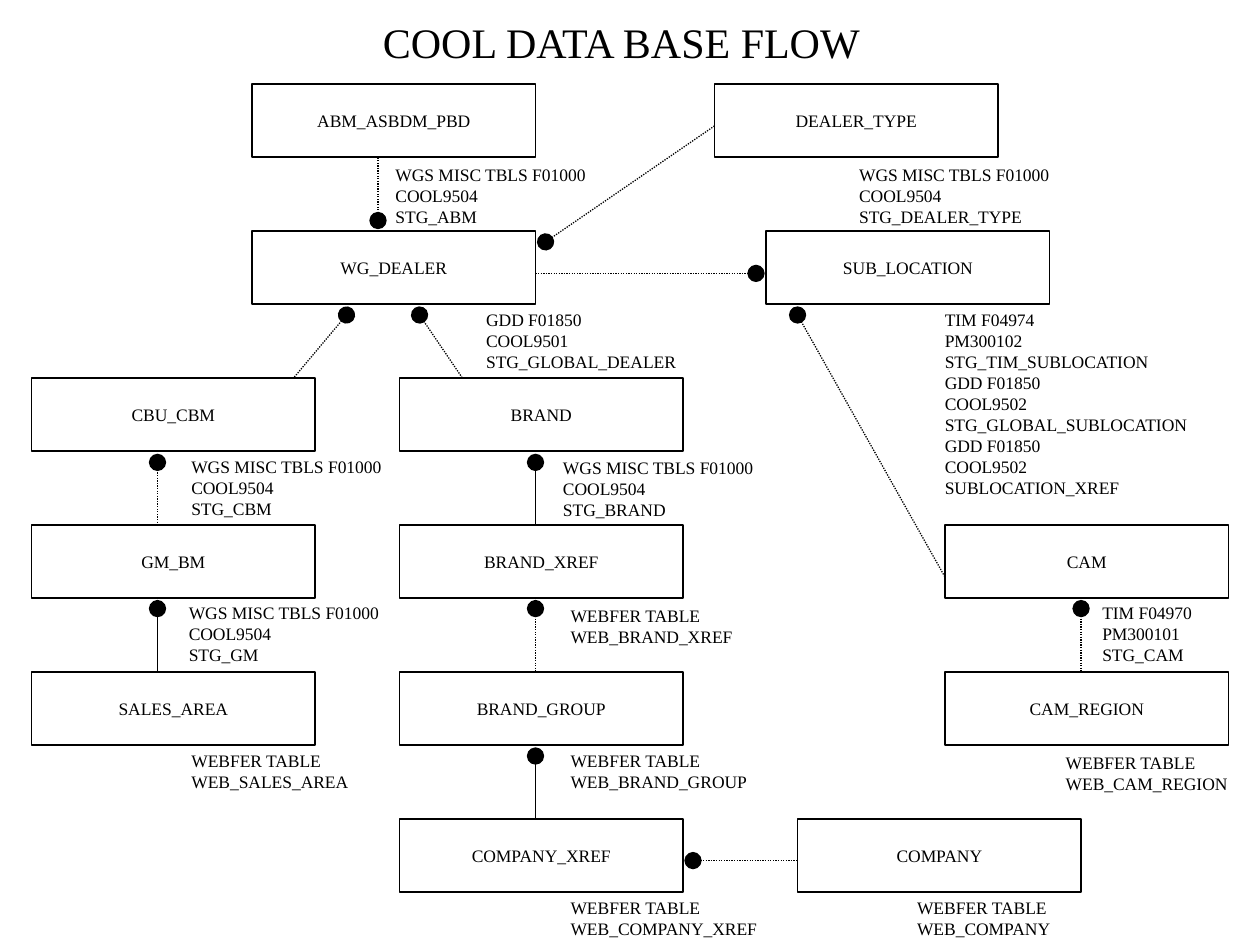
"""Build the COOL data base flow slide: tables, source notes and relations."""
from typing import NamedTuple

from lxml.etree import SubElement
from pptx import Presentation
from pptx.dml.color import RGBColor
from pptx.enum.dml import MSO_LINE
from pptx.enum.shapes import MSO_CONNECTOR, MSO_SHAPE
from pptx.enum.text import MSO_ANCHOR, MSO_AUTO_SIZE, PP_ALIGN
from pptx.oxml.ns import qn
from pptx.util import Inches, Pt

FONT = "Times New Roman"
BLACK = "000000"
BOX_W, BOX_H = 2.25, 0.58
ROW_TOP, ROW_STEP = 2 / 3, 7 / 6
LINE_H, NOTE_PAD = 1 / 6, 0.1


class Table(NamedTuple):
    name: str
    left: float
    row: int


class Note(NamedTuple):
    left: float
    top: float
    width: float
    lines: list[str]


class Link(NamedTuple):
    start: tuple[float, float]
    end: tuple[float, float]
    solid: bool = False
    dot_end: str = "a:headEnd"


TABLES = [
    Table("ABM_ASBDM_PBD", 2, 0),
    Table("DEALER_TYPE", 5.67, 0),
    Table("WG_DEALER", 2, 1),
    Table("SUB_LOCATION", 6.08, 1),
    Table("CBU_CBM", 0.25, 2),
    Table("BRAND", 3.17, 2),
    Table("GM_BM", 0.25, 3),
    Table("BRAND_XREF", 3.17, 3),
    Table("CAM", 7.5, 3),
    Table("SALES_AREA", 0.25, 4),
    Table("BRAND_GROUP", 3.17, 4),
    Table("CAM_REGION", 7.5, 4),
    Table("COMPANY_XREF", 3.17, 5),
    Table("COMPANY", 6.33, 5),
]

MISC = ["WGS MISC TBLS F01000", "COOL9504"]
WEBFER = ["WEBFER TABLE"]
NOTES = [
    Note(3.04, 1.25, 1.73, MISC + ["STG_ABM"]),
    Note(6.72, 1.25, 1.73, MISC + ["STG_DEALER_TYPE"]),
    Note(3.76, 2.4, 1.74, ["GDD F01850", "COOL9501", "STG_GLOBAL_DEALER"]),
    Note(7.4, 2.4, 2.15, [
        "TIM F04974", "PM300102", "STG_TIM_SUBLOCATION",
        "GDD F01850", "COOL9502", "STG_GLOBAL_SUBLOCATION",
        "GDD F01850", "COOL9502", "SUBLOCATION_XREF"]),
    Note(1.42, 3.57, 1.73, MISC + ["STG_CBM"]),
    Note(4.37, 3.58, 1.73, MISC + ["STG_BRAND"]),
    Note(1.4, 4.73, 1.73, MISC + ["STG_GM"]),
    Note(4.43, 4.75, 1.52, WEBFER + ["WEB_BRAND_XREF"]),
    Note(8.65, 4.73, 0.93, ["TIM F04970", "PM300101", "STG_CAM"]),
    Note(1.42, 5.9, 1.48, WEBFER + ["WEB_SALES_AREA"]),
    Note(4.43, 5.9, 1.62, WEBFER + ["WEB_BRAND_GROUP"]),
    Note(8.36, 5.92, 1.5, WEBFER + ["WEB_CAM_REGION"]),
    Note(4.43, 7.07, 1.71, WEBFER + ["WEB_COMPANY_XREF"]),
    Note(7.18, 7.07, 1.29, WEBFER + ["WEB_COMPANY"]),
]

LINKS = [
    Link((3, 1.25), (3, 1.75), dot_end="a:tailEnd"),
    Link((4.33, 1.92), (5.67, 1)),
    Link((4.25, 2.17), (6, 2.17), dot_end="a:tailEnd"),
    Link((2.75, 2.5), (2.33, 3)),
    Link((3.33, 2.5), (3.67, 3)),
    Link((6.33, 2.5), (7.5, 4.58)),
    Link((1.25, 3.67), (1.25, 4.17)),
    Link((4.25, 3.67), (4.25, 4.17), solid=True),
    Link((1.25, 4.83), (1.25, 5.33), solid=True),
    Link((4.25, 4.83), (4.25, 5.33)),
    Link((8.58, 4.83), (8.58, 5.33)),
    Link((4.25, 6), (4.25, 6.5), solid=True),
    Link((5.5, 6.83), (6.33, 6.83)),
]


def color(value: str) -> RGBColor:
    return RGBColor.from_string(value)


def write(tf, lines: list[str], size: float, align=PP_ALIGN.LEFT) -> None:
    tf.word_wrap = False
    for i, line in enumerate(lines):
        p = tf.paragraphs[0] if i == 0 else tf.add_paragraph()
        p.text = line
        p.alignment = align
        p.font.name = FONT
        p.font.size = Pt(size)
        p.font.color.rgb = color(BLACK)


def style_line(line) -> None:
    line.color.rgb = color(BLACK)
    line.width = Pt(0.75)


def add_table_box(s, table: Table) -> None:
    top = ROW_TOP + table.row * ROW_STEP
    sp = s.shapes.add_shape(MSO_SHAPE.RECTANGLE, Inches(table.left), Inches(top),
                            Inches(BOX_W), Inches(BOX_H))
    sp.shadow.inherit = False
    sp.fill.background()
    style_line(sp.line)
    sp.text_frame.vertical_anchor = MSO_ANCHOR.MIDDLE
    write(sp.text_frame, [table.name], 10, PP_ALIGN.CENTER)


def add_note(s, note: Note, size: float = 10) -> None:
    height = NOTE_PAD + LINE_H * len(note.lines) * size / 10
    sp = s.shapes.add_textbox(Inches(note.left), Inches(note.top),
                              Inches(note.width), Inches(height))
    write(sp.text_frame, note.lines, size)
    sp.text_frame.auto_size = MSO_AUTO_SIZE.SHAPE_TO_FIT_TEXT


def add_link(s, link: Link) -> None:
    x1, y1, x2, y2 = map(Inches, link.start + link.end)
    cxn = s.shapes.add_connector(MSO_CONNECTOR.STRAIGHT, x1, y1, x2, y2)
    style_line(cxn.line)
    if not link.solid:
        cxn.line.dash_style = MSO_LINE.ROUND_DOT
    spPr = cxn._element.spPr
    SubElement(spPr.find(qn("a:ln")), qn(link.dot_end), type="oval", w="lg", len="lg")
    SubElement(spPr, qn("a:effectLst"))


def main() -> None:
    prs = Presentation()
    prs.slide_width, prs.slide_height = Inches(10), Inches(7.5)
    s = prs.slides.add_slide(prs.slide_layouts[6])
    add_note(s, Note(2.94, 0.08, 4.08, ["COOL DATA BASE FLOW"]), 24)
    for table in TABLES:
        add_table_box(s, table)
    for note in NOTES:
        add_note(s, note)
    for link in LINKS:
        add_link(s, link)
    prs.save("out.pptx")


if __name__ == "__main__":
    main()
